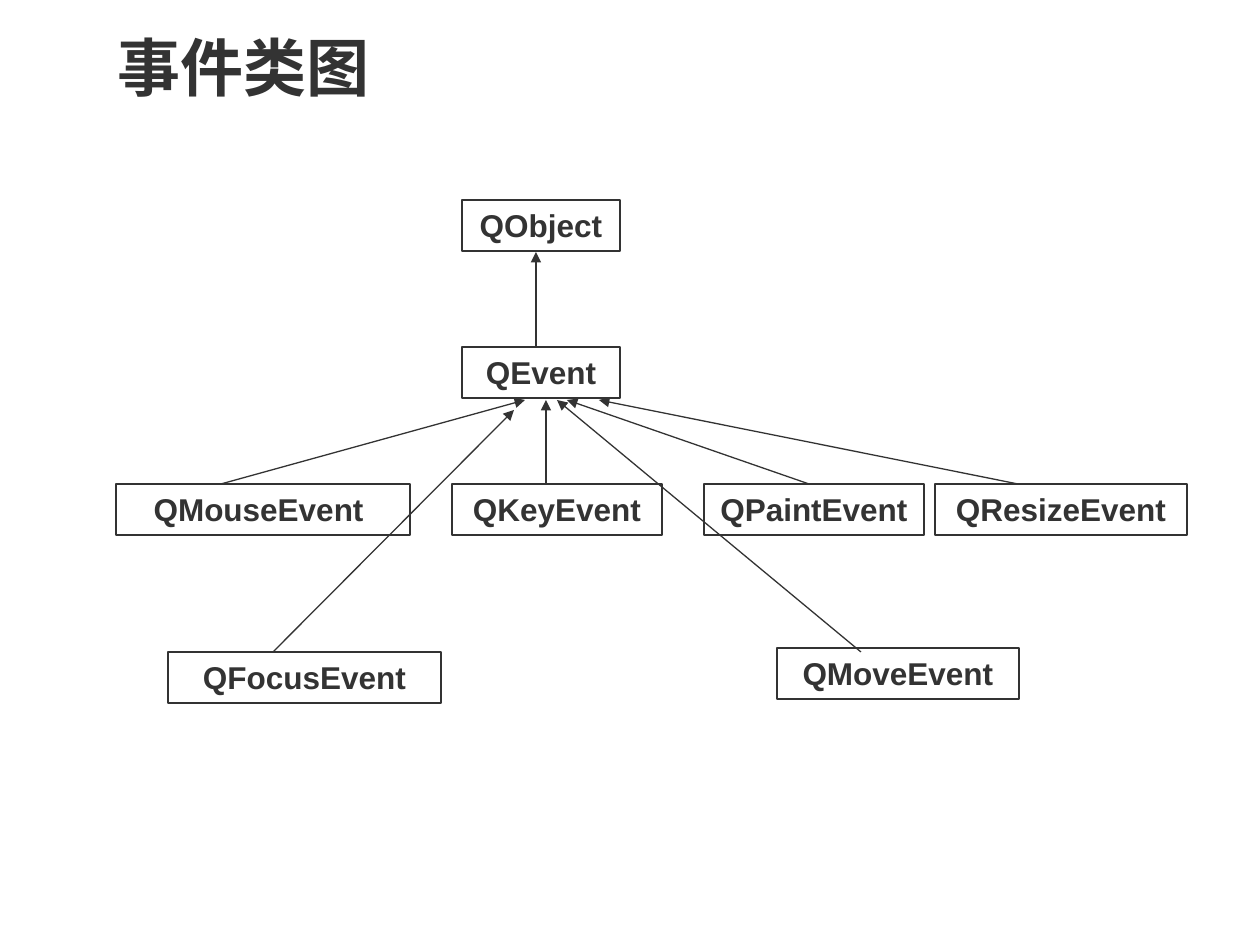
from typing import NamedTuple

from lxml import etree
from pptx import Presentation
from pptx import util as u
from pptx.dml.color import RGBColor
from pptx.enum import shapes, text
from pptx.oxml.ns import qn

PX = u.Inches(1) // 126
INK = "333333"
FONT = "Arial"
BOX_H = 51


class ClassBox(NamedTuple):
    name: str
    x: int
    y: int
    w: int


class Arrow(NamedTuple):
    x1: int
    y1: int
    x2: int
    y2: int


ROW_Y = 484
BOXES = [
    ClassBox("QObject", 462, 200, 158),
    ClassBox("QEvent", 462, 347, 158),
    ClassBox("QMouseEvent ", 116, ROW_Y, 294),
    ClassBox("QKeyEvent", 452, ROW_Y, 210),
    ClassBox("QPaintEvent", 704, ROW_Y, 220),
    ClassBox("QResizeEvent", 935, ROW_Y, 252),
    ClassBox("QFocusEvent", 168, 652, 273),
    ClassBox("QMoveEvent", 777, 648, 242),
]
ARROWS = [
    Arrow(536, 347, 536, 252),
    Arrow(221, ROW_Y, 525, 400),
    Arrow(546, ROW_Y, 546, 400),
    Arrow(809, ROW_Y, 567, 400),
    Arrow(1018, ROW_Y, 599, 400),
    Arrow(273, 652, 514, 410),
    Arrow(861, 652, 557, 400),
]


def px(*lengths: int) -> list[u.Emu]:
    return [u.Emu(n * PX) for n in lengths]


def color(value: str) -> RGBColor:
    return RGBColor.from_string(value)


def write(sp, words: str, size: int, align) -> None:
    tf = sp.text_frame
    tf.text = words
    tf.word_wrap = True
    tf.vertical_anchor = text.MSO_ANCHOR.TOP
    p = tf.paragraphs[0]
    p.alignment = align
    font = p.runs[0].font
    font.name, font.size, font.bold = FONT, u.Pt(size), True
    font.color.rgb = color(INK)


def style_line(sp) -> None:
    sp.line.color.rgb = color(INK)
    sp.line.width = u.Pt(0.75)


def draw_title(s, words: str) -> None:
    sp = s.shapes.add_textbox(*px(105, 31, 1092, 98))
    write(sp, words, 36, text.PP_ALIGN.LEFT)
    sp.text_frame.paragraphs[0].line_spacing = 0.9


def draw_box(s, box: ClassBox) -> None:
    sp = s.shapes.add_shape(shapes.MSO_SHAPE.RECTANGLE,
                            *px(box.x, box.y, box.w, BOX_H))
    sp.shadow.inherit = False
    sp.fill.background()
    style_line(sp)
    write(sp, box.name, 18, text.PP_ALIGN.CENTER)


def draw_arrow(s, arrow: Arrow) -> None:
    sp = s.shapes.add_connector(shapes.MSO_CONNECTOR.STRAIGHT, *px(*arrow))
    style_line(sp)
    ln = sp.line._get_or_add_ln()
    etree.SubElement(ln, qn("a:tailEnd"), type="triangle")
    etree.SubElement(ln.getparent(), qn("a:effectLst"))


def main() -> None:
    prs = Presentation()
    prs.slide_width, prs.slide_height = px(1260, 945)
    s = prs.slides.add_slide(prs.slide_layouts[6])
    draw_title(s, "事件类图")
    for box in BOXES:
        draw_box(s, box)
    for arrow in ARROWS:
        draw_arrow(s, arrow)
    prs.save("out.pptx")


if __name__ == "__main__":
    main()
